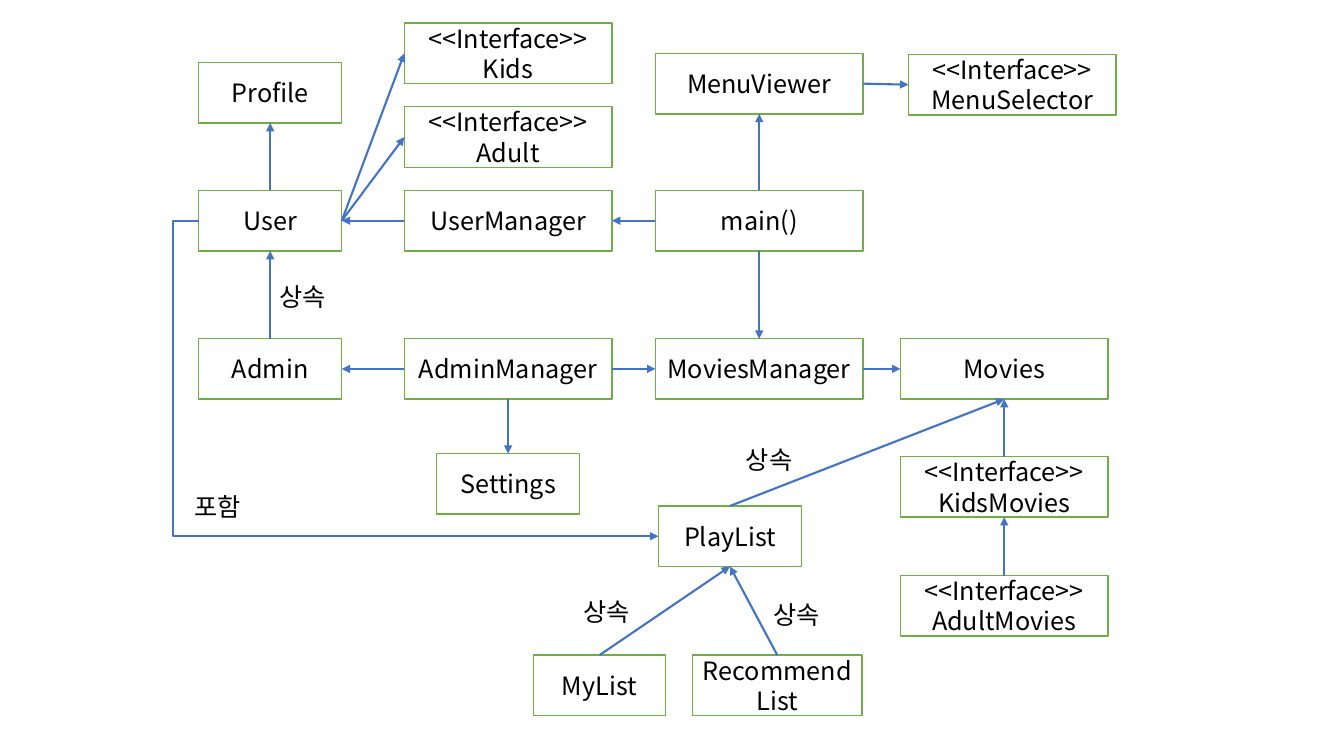
from lxml import etree
from pptx import Presentation
from pptx import util as u
from pptx.dml.color import RGBColor
from pptx.enum import shapes, text
from pptx.oxml.ns import qn

FONT = "Noto Sans CJK KR"
GREEN, BLUE, BLACK, WHITE = "70AD47", "4472C4", "000000", "FFFFFF"
COLUMNS = {"user": 1.97, "manager": 4.01, "main": 6.5, "movies": 8.93}
ROWS = {"menu": 0.53, "user": 1.89, "admin": 3.36, "playlist": 5.02, "lists": 6.5}
NARROW, WIDE, HEIGHT = 1.42, 2.06, 0.6
TOP, LEFT, BOTTOM, RIGHT = range(4)

# class name: (left, top, width)
CLASSES = {
    "Profile": (COLUMNS["user"], 0.62, NARROW),
    "User": (COLUMNS["user"], ROWS["user"], NARROW),
    "Admin": (COLUMNS["user"], ROWS["admin"], NARROW),
    "<<Interface>>\nKids": (COLUMNS["manager"], 0.23, WIDE),
    "<<Interface>>\nAdult": (COLUMNS["manager"], 1.06, WIDE),
    "UserManager": (COLUMNS["manager"], ROWS["user"], WIDE),
    "AdminManager": (COLUMNS["manager"], ROWS["admin"], WIDE),
    "Settings": (4.33, 4.5, NARROW),
    "MenuViewer": (COLUMNS["main"], ROWS["menu"], WIDE),
    "main()": (COLUMNS["main"], ROWS["user"], WIDE),
    "MoviesManager": (COLUMNS["main"], ROWS["admin"], WIDE),
    "PlayList": (6.53, ROWS["playlist"], NARROW),
    "MyList": (5.29, ROWS["lists"], 1.31),
    "RecommendList": (6.87, ROWS["lists"], 1.68),
    "<<Interface>>\nMenuSelector": (9.01, 0.54, WIDE),
    "Movies": (COLUMNS["movies"], ROWS["admin"], WIDE),
    "<<Interface>>\nKidsMovies": (COLUMNS["movies"], 4.53, WIDE),
    "<<Interface>>\nAdultMovies": (COLUMNS["movies"], 5.71, WIDE),
}

# (from class, side, to class, side), classes by their last line
ARROWS = [
    ("User", TOP, "Profile", BOTTOM),
    ("Admin", TOP, "User", BOTTOM),
    ("User", RIGHT, "Kids", LEFT),
    ("User", RIGHT, "Adult", LEFT),
    ("UserManager", LEFT, "User", RIGHT),
    ("main()", LEFT, "UserManager", RIGHT),
    ("main()", TOP, "MenuViewer", BOTTOM),
    ("main()", BOTTOM, "MoviesManager", TOP),
    ("MenuViewer", RIGHT, "MenuSelector", LEFT),
    ("AdminManager", LEFT, "Admin", RIGHT),
    ("AdminManager", RIGHT, "MoviesManager", LEFT),
    ("AdminManager", BOTTOM, "Settings", TOP),
    ("MoviesManager", RIGHT, "Movies", LEFT),
    ("KidsMovies", TOP, "Movies", BOTTOM),
    ("AdultMovies", TOP, "KidsMovies", BOTTOM),
    ("PlayList", TOP, "Movies", BOTTOM),
    ("MyList", TOP, "PlayList", BOTTOM),
    ("RecommendList", TOP, "PlayList", BOTTOM),
]

INHERITS, CONTAINS = "상속", "포함"
LABELS = [
    (INHERITS, 2.67, 2.74),
    (INHERITS, 7.3, 4.36),
    (INHERITS, 5.69, 5.87),
    (INHERITS, 7.57, 5.9),
    (CONTAINS, 1.83, 4.83),
]


def color(value):
    """Turn a hex string into a colour."""
    return RGBColor.from_string(value)


def write(shape, content, size=18, fill=BLACK, align=text.PP_ALIGN.LEFT):
    """Write one paragraph per line of content into a shape."""
    frame = shape.text_frame
    frame.text = content
    for paragraph in frame.paragraphs:
        paragraph.alignment = align
        for run in paragraph.runs:
            run.font.size = u.Pt(size)
            run.font.name = FONT
            run.font.color.rgb = color(fill)
            east_asian = etree.SubElement(run.font._element, qn("a:ea"))
            east_asian.set("typeface", FONT)


def add_class(slide, name, left, top, width):
    """Draw a class as an outlined box with its name centred."""
    box = slide.shapes.add_shape(
        shapes.MSO_SHAPE.RECTANGLE, *map(u.Inches, (left, top, width, HEIGHT)))
    box.shadow.inherit = False
    box.fill.solid()
    box.fill.fore_color.rgb = color(WHITE)
    box.line.color.rgb = color(GREEN)
    box.line.width = u.Pt(1)
    box.text_frame.word_wrap = True
    box.text_frame.vertical_anchor = text.MSO_ANCHOR.MIDDLE
    write(box, name, align=text.PP_ALIGN.CENTER)
    return box


def add_arrow(slide, start, start_side, end, end_side, bend=None):
    """Join two boxes with an arrow; bend is the elbow's share of the width."""
    kind = shapes.MSO_CONNECTOR.STRAIGHT if bend is None else shapes.MSO_CONNECTOR.ELBOW
    arrow = slide.shapes.add_connector(kind, 0, 0, 0, 0)
    arrow.begin_connect(start, start_side)
    arrow.end_connect(end, end_side)
    arrow.line.color.rgb = color(BLUE)
    arrow.line.width = u.Pt(1.5)
    line = arrow.line._get_or_add_ln()
    etree.SubElement(line, qn("a:tailEnd")).set("type", "triangle")
    properties = arrow._element.spPr
    etree.SubElement(properties, qn("a:effectLst"))
    if bend is not None:
        guides = properties.find(qn("a:prstGeom")).get_or_add_avLst()
        guide = etree.SubElement(guides, qn("a:gd"))
        guide.set("name", "adj1")
        guide.set("fmla", f"val {round(bend * 100000)}")


def add_label(slide, content, left, top):
    """Place a relation's name beside its arrow."""
    label = slide.shapes.add_textbox(*map(u.Inches, (left, top, 0.71, 0.4)))
    label.text_frame.word_wrap = False
    label.text_frame.auto_size = text.MSO_AUTO_SIZE.SHAPE_TO_FIT_TEXT
    write(label, content)


def main():
    """Build the class diagram."""
    presentation = Presentation()
    presentation.slide_width = u.Inches(13.33)
    presentation.slide_height = u.Inches(7.5)
    slide = presentation.slides.add_slide(presentation.slide_layouts[6])

    boxes = {name.split("\n")[-1]: add_class(slide, name, *place)
             for name, place in CLASSES.items()}
    for start, start_side, end, end_side in ARROWS:
        add_arrow(slide, boxes[start], start_side, boxes[end], end_side)
    add_arrow(slide, boxes["User"], LEFT, boxes["PlayList"], LEFT, bend=-0.055)
    for label in LABELS:
        add_label(slide, *label)

    presentation.save("out.pptx")


main()
